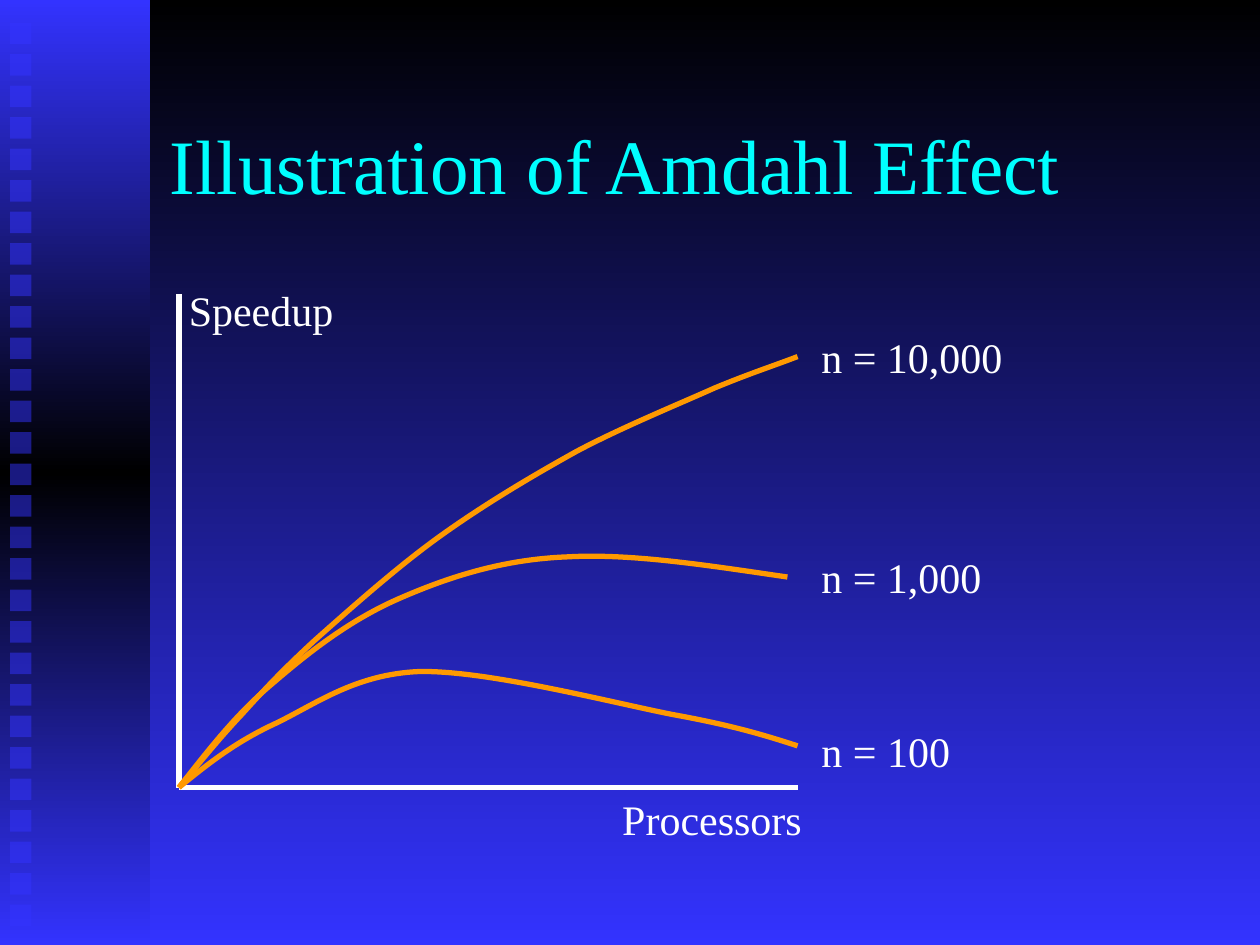
from copy import deepcopy

from lxml import etree
from pptx import Presentation
from pptx.dml.color import RGBColor
from pptx.enum.shapes import MSO_CONNECTOR, MSO_SHAPE
from pptx.enum.text import MSO_ANCHOR, MSO_AUTO_SIZE
from pptx.oxml.ns import qn
from pptx.util import Inches, Pt

RECTANGLE = MSO_SHAPE.RECTANGLE
STRAIGHT = MSO_CONNECTOR.STRAIGHT
TOP, MIDDLE = MSO_ANCHOR.TOP, MSO_ANCHOR.MIDDLE
FIXED, GROW = MSO_AUTO_SIZE.NONE, MSO_AUTO_SIZE.SHAPE_TO_FIT_TEXT

WIDTH, HEIGHT = 10, 7.5
COLORS = {"black": "000000", "blue": "3333FF", "title": "00FFFF",
          "white": "FFFFFF", "curve": "FF9900"}
FONT = "Times New Roman"
LINE_WIDTH = 3

BAND_WIDTH = 1.19
SQUARES = {"count": 29, "left": 0.08, "top": 0.18, "pitch": 0.25, "size": 0.17}

TITLE = ("Illustration of Amdahl Effect", (1.25, 0.67, 8.5, 1.25))
ORIGIN = (1.42, 6.25)
AXIS_ENDS = [(1.42, 2.33), (6.33, 6.25)]
LABELS = [
    ("Speedup", (1.4, 2.21, 1.35, 0.5)),
    ("Processors", (4.84, 6.25, 1.64, 0.5)),
    ("n = 100", (6.42, 5.71, 1.22, 0.5)),
    ("n = 1,000", (6.42, 4.33, 1.47, 0.5)),
    ("n = 10,000", (6.42, 2.58, 1.64, 0.5)),
]
CURVES = {
    "n = 100": [
        (1.63, 6.08), (1.85, 5.9), (2.17, 5.75),
        (2.49, 5.6), (2.81, 5.35), (3.33, 5.33),
        (3.86, 5.32), (4.83, 5.57), (5.33, 5.67),
        (5.83, 5.76), (6.08, 5.84), (6.33, 5.92),
    ],
    "n = 1,000": [
        (1.65, 5.96), (1.87, 5.67), (2.17, 5.42),
        (2.46, 5.17), (2.78, 4.92), (3.17, 4.75),
        (3.56, 4.58), (3.99, 4.44), (4.5, 4.42),
        (5.01, 4.39), (5.63, 4.49), (6.25, 4.58),
    ],
    "n = 10,000": [
        (1.58, 6.06), (1.74, 5.86), (1.92, 5.67),
        (2.1, 5.47), (2.24, 5.32), (2.5, 5.08),
        (2.76, 4.85), (3.15, 4.5), (3.5, 4.25),
        (3.85, 4), (4.22, 3.78), (4.58, 3.58),
        (4.94, 3.39), (5.38, 3.21), (5.67, 3.08),
        (5.96, 2.96), (6.15, 2.9), (6.33, 2.83),
    ],
}


def color(name):
    return RGBColor.from_string(COLORS[name])


def set_gradient(fill, names):
    fill.gradient()
    fill.gradient_angle = 270
    for position, (stop, name) in enumerate(zip(fill.gradient_stops, names)):
        stop.position = position / (len(names) - 1)
        stop.color.rgb = color(name)


def add_rectangle(slide, box):
    shape = slide.shapes.add_shape(RECTANGLE, *map(Inches, box))
    shape.shadow.inherit = False
    shape.line.fill.background()
    return shape


def add_band(slide):
    band = add_rectangle(slide, (0, 0, BAND_WIDTH, HEIGHT))
    set_gradient(band.fill, ["blue", "black", "blue"])
    stops = band._element.spPr.find(f".//{qn('a:gsLst')}")
    stops.append(deepcopy(stops[0]))
    stops[2].set("pos", "100000")


def add_squares(slide):
    size = SQUARES["size"]
    for row in range(SQUARES["count"]):
        top = SQUARES["top"] + row * SQUARES["pitch"]
        square = add_rectangle(slide, (SQUARES["left"], top, size, size))
        square.fill.solid()
        square.fill.fore_color.rgb = color("blue")
        fill_color = square._element.spPr.find(f".//{qn('a:srgbClr')}")
        etree.SubElement(fill_color, qn("a:alpha"), val="50000")


def add_text(slide, text, box, size, color_name, frame_format):
    text_box = slide.shapes.add_textbox(*map(Inches, box))
    frame = text_box.text_frame
    for name, value in frame_format.items():
        setattr(frame, name, value)
    run = frame.paragraphs[0].add_run()
    run.text = text
    for name, value in {"name": FONT, "size": Pt(size)}.items():
        setattr(run.font, name, value)
    run.font.color.rgb = color(color_name)


def style_line(line, color_name):
    line.color.rgb = color(color_name)
    line.width = Pt(LINE_WIDTH)


def add_axis(slide, end):
    axis = slide.shapes.add_connector(STRAIGHT, *map(Inches, (*ORIGIN, *end)))
    style_line(axis.line, "white")
    etree.SubElement(axis._element.spPr, qn("a:effectLst"))


def add_curve(slide, points):
    builder = slide.shapes.build_freeform(*map(Inches, ORIGIN))
    builder.add_line_segments([tuple(map(Inches, point)) for point in points],
                              close=False)
    curve = builder.convert_to_shape()
    outline = curve._element.spPr.find(f".//{qn('a:path')}")
    segments = outline.findall(qn("a:lnTo"))
    for first in range(0, len(segments), 3):
        bezier = etree.SubElement(outline, qn("a:cubicBezTo"))
        for segment in segments[first:first + 3]:
            bezier.append(segment[0])
            outline.remove(segment)
    curve.shadow.inherit = False
    curve.fill.background()
    style_line(curve.line, "curve")


def main():
    presentation = Presentation()
    presentation.slide_width = Inches(WIDTH)
    presentation.slide_height = Inches(HEIGHT)
    slide = presentation.slides.add_slide(presentation.slide_layouts[6])
    set_gradient(slide.background.fill, ["black", "blue"])
    add_band(slide)
    add_squares(slide)
    title_format = {"word_wrap": True, "vertical_anchor": MIDDLE, "auto_size": FIXED}
    label_format = {"word_wrap": False, "vertical_anchor": TOP, "auto_size": GROW}
    add_text(slide, *TITLE, 44, "title", title_format)
    for end in AXIS_ENDS:
        add_axis(slide, end)
    for points in CURVES.values():
        add_curve(slide, points)
    for text, box in LABELS:
        add_text(slide, text, box, 24, "white", label_format)
    presentation.save("out.pptx")


if __name__ == "__main__":
    main()
